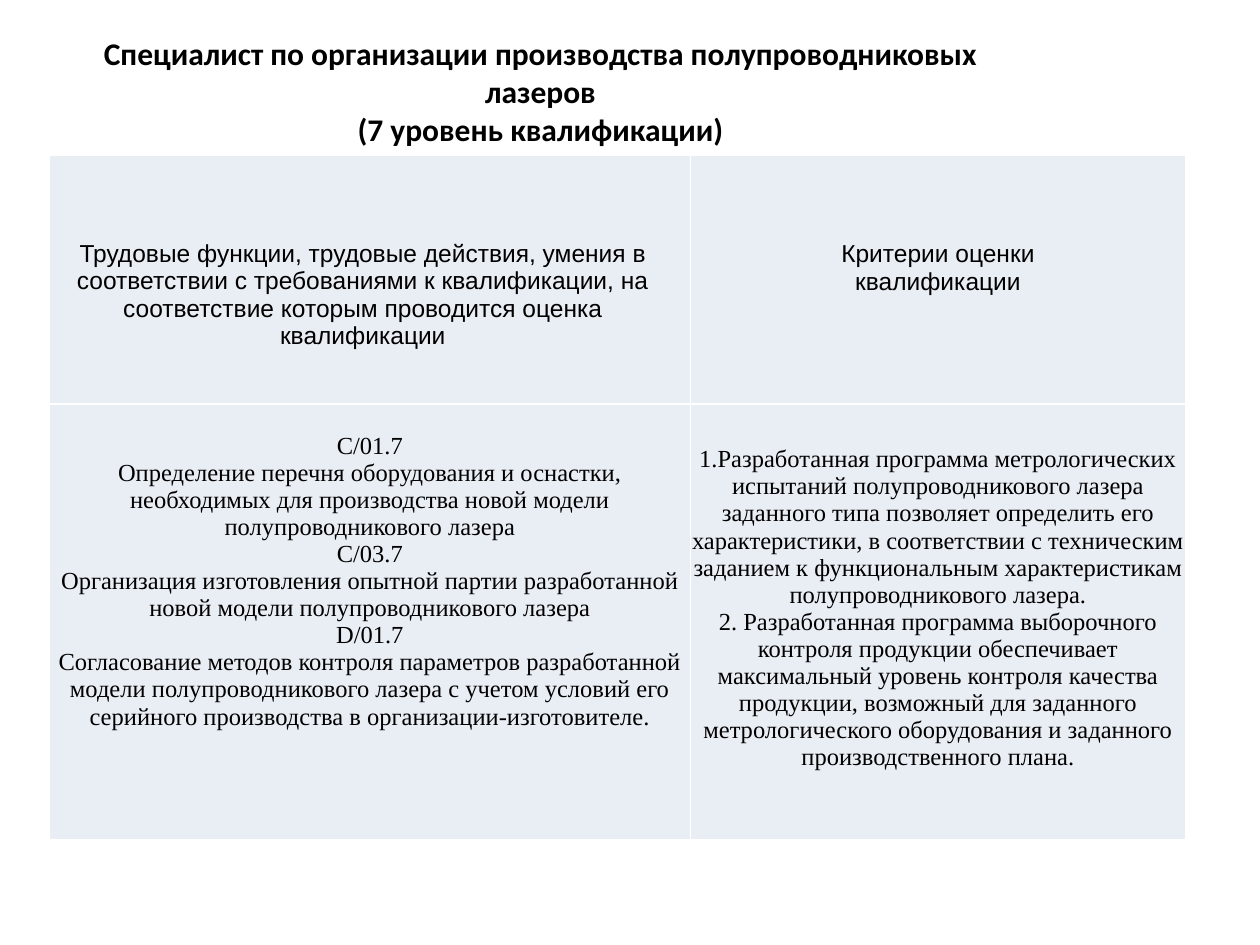
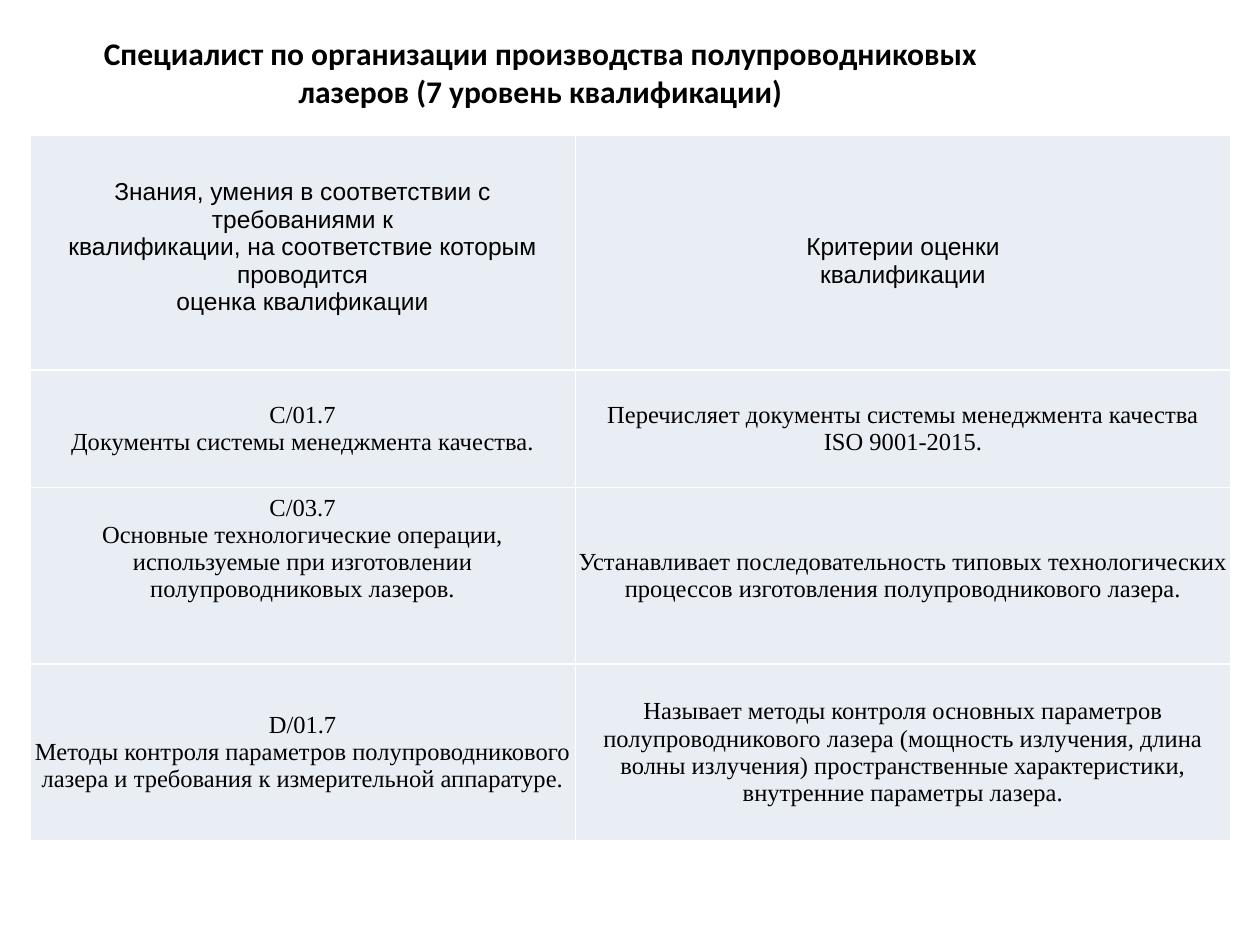
from dataclasses import dataclass

from lxml import etree
from pptx import Presentation
from pptx.dml.color import RGBColor
from pptx.enum.text import MSO_ANCHOR, MSO_AUTO_SIZE, PP_ALIGN
from pptx.oxml.ns import qn
from pptx.util import Pt

TOP, MIDDLE, BOTTOM = MSO_ANCHOR.TOP, MSO_ANCHOR.MIDDLE, MSO_ANCHOR.BOTTOM
CENTER = PP_ALIGN.CENTER
NO_AUTOFIT = MSO_AUTO_SIZE.NONE
TITLE_ONLY = 5


@dataclass(frozen=True)
class Theme:
    text: RGBColor = RGBColor(0, 0, 0)
    cell_fill: RGBColor = RGBColor(0xE9, 0xED, 0xF4)
    border: str = "FFFFFF"
    border_width: float = 1
    title_font: str = "Calibri"
    header_font: str = "Arial"
    body_font: str = "Times New Roman"
    title_size: float = 18
    table_size: float = 14
    line_height: float = 15.5


@dataclass(frozen=True)
class CellText:
    """Paragraphs of a cell, raised by a number of lines and inset on the right."""
    paragraphs: tuple
    lines_below: int = 0
    right_inset: float = 0


THEME = Theme()
TITLE_LEFT, TITLE_TOP, TITLE_WIDTH = 48.25, 15.85, 521.3

CRITERIA_HEADER = ("Критерии оценки", "квалификации")

FUNCTIONS_ROWS = [
    [
        CellText((
            "Трудовые функции, трудовые действия, умения в",
            "соответствии с требованиями к квалификации, на",
            "соответствие которым проводится оценка",
            "квалификации",
        ), lines_below=2, right_inset=8),
        CellText(CRITERIA_HEADER, lines_below=4),
    ],
    [
        CellText((
            "С/01.7",
            "Определение перечня оборудования и оснастки, необходимых для "
            "производства новой модели полупроводникового лазера",
            "С/03.7",
            "Организация изготовления опытной партии разработанной новой "
            "модели полупроводникового лазера",
            "D/01.7",
            "Согласование методов контроля параметров разработанной модели "
            "полупроводникового лазера с учетом условий его серийного "
            "производства в организации-изготовителе.",
        ), lines_below=3),
        CellText((
            "1.Разработанная программа метрологических испытаний "
            "полупроводникового лазера заданного типа позволяет определить "
            "его характеристики, в соответствии с техническим заданием к "
            "функциональным характеристикам полупроводникового лазера.",
            "2. Разработанная программа выборочного контроля продукции "
            "обеспечивает максимальный уровень контроля качества продукции, "
            "возможный для заданного метрологического оборудования и "
            "заданного производственного плана.",
        ), lines_below=1),
    ],
]

KNOWLEDGE_ROWS = [
    [
        CellText((
            "Знания, умения в соответствии с требованиями к",
            "квалификации, на соответствие которым проводится",
            "оценка квалификации",
        ), lines_below=2),
        CellText(CRITERIA_HEADER, lines_below=3),
    ],
    [
        CellText(("С/01.7", "Документы системы менеджмента качества.")),
        CellText((
            "Перечисляет документы системы менеджмента качества",
            "ISO 9001-2015.",
        )),
    ],
    [
        CellText((
            "С/03.7",
            "Основные технологические операции, используемые при "
            "изготовлении полупроводниковых лазеров.",
        ), lines_below=2),
        CellText((
            "Устанавливает последовательность типовых технологических "
            "процессов изготовления полупроводникового лазера.",
        )),
    ],
    [
        CellText((
            "D/01.7",
            "Методы контроля параметров полупроводникового лазера и "
            "требования к измерительной аппаратуре.",
        )),
        CellText((
            "Называет методы контроля основных параметров "
            "полупроводникового лазера (мощность излучения, длина волны "
            "излучения) пространственные характеристики, внутренние "
            "параметры лазера.",
        )),
    ],
]


def write_paragraphs(text_frame, paragraphs, font_name, size, bold=False):
    text_frame.text = "\n".join(paragraphs)
    for paragraph in text_frame.paragraphs:
        paragraph.alignment = CENTER
        paragraph.font.name = font_name
        paragraph.font.size = Pt(size)
        paragraph.font.bold = bold
        paragraph.font.color.rgb = THEME.text


def place_title(slide, paragraphs, height):
    title = slide.shapes.title
    title.left, title.top = Pt(TITLE_LEFT), Pt(TITLE_TOP)
    title.width, title.height = Pt(TITLE_WIDTH), Pt(height)
    text_frame = title.text_frame
    text_frame.word_wrap = True
    text_frame.auto_size = NO_AUTOFIT
    text_frame.vertical_anchor = TOP
    write_paragraphs(text_frame, paragraphs, THEME.title_font,
                     THEME.title_size, bold=True)


def draw_borders(cell):
    properties = cell._tc.get_or_add_tcPr()
    for position, side in enumerate(("lnL", "lnR", "lnT", "lnB")):
        line = etree.Element(qn(f"a:{side}"), w=str(Pt(THEME.border_width)))
        fill = etree.SubElement(line, qn("a:solidFill"))
        etree.SubElement(fill, qn("a:srgbClr"), val=THEME.border)
        properties.insert(position, line)


def fill_cell(cell, content, is_header):
    cell.margin_left = cell.margin_top = 0
    cell.margin_right = Pt(content.right_inset)
    cell.margin_bottom = Pt(content.lines_below * THEME.line_height)
    cell.vertical_anchor = BOTTOM if is_header else MIDDLE
    cell.fill.solid()
    cell.fill.fore_color.rgb = THEME.cell_fill
    draw_borders(cell)
    font_name = THEME.header_font if is_header else THEME.body_font
    write_paragraphs(cell.text_frame, content.paragraphs, font_name,
                     THEME.table_size)


def add_criteria_table(slide, left, top, column_widths, row_heights, rows):
    table = slide.shapes.add_table(
        len(row_heights), len(column_widths), Pt(left), Pt(top),
        Pt(sum(column_widths)), Pt(sum(row_heights))).table
    table.first_row = table.horz_banding = False
    for column, width in zip(table.columns, column_widths):
        column.width = Pt(width)
    for row, height in zip(table.rows, row_heights):
        row.height = Pt(height)
    for row_index, contents in enumerate(rows):
        for column_index, content in enumerate(contents):
            fill_cell(table.cell(row_index, column_index), content,
                      is_header=row_index == 0)


def add_qualification_slide(presentation, title, title_height, **table):
    slide = presentation.slides.add_slide(
        presentation.slide_layouts[TITLE_ONLY])
    place_title(slide, title, title_height)
    add_criteria_table(slide, **table)


def main():
    presentation = Presentation()
    presentation.slide_width, presentation.slide_height = Pt(720), Pt(540)
    specialist = "Специалист по организации производства полупроводниковых лазеров"
    level = "(7 уровень квалификации)"
    add_qualification_slide(
        presentation, (specialist, level), 94.3,
        left=28.2, top=88.8, column_widths=(366.3, 283),
        row_heights=(142.2, 248.9), rows=FUNCTIONS_ROWS)
    add_qualification_slide(
        presentation, (f"{specialist} {level}",), 51,
        left=17, top=77.3, column_widths=(311.8, 374.4),
        row_heights=(134.2, 67, 101.1, 100.7), rows=KNOWLEDGE_ROWS)
    presentation.save("out.pptx")


if __name__ == "__main__":
    main()
